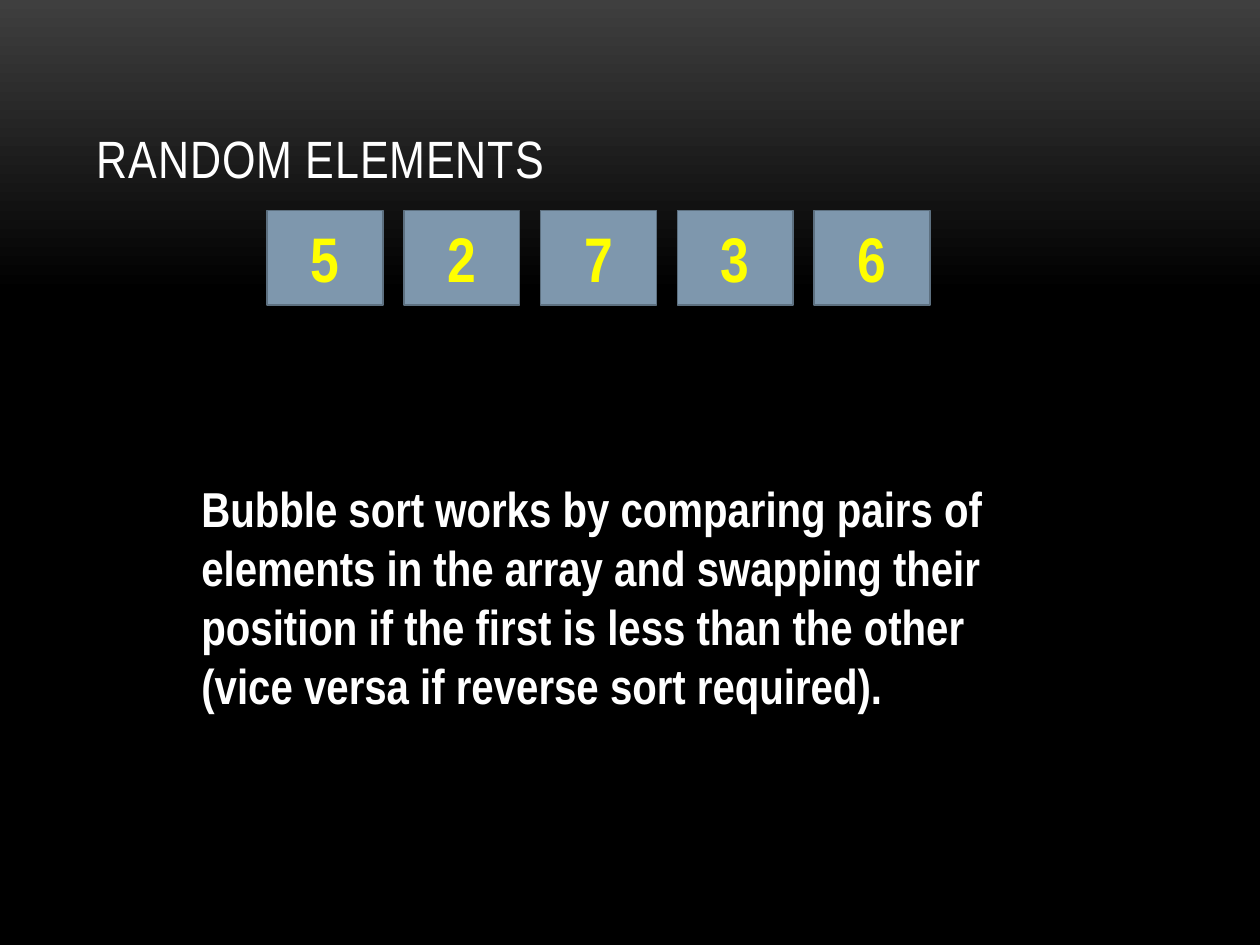
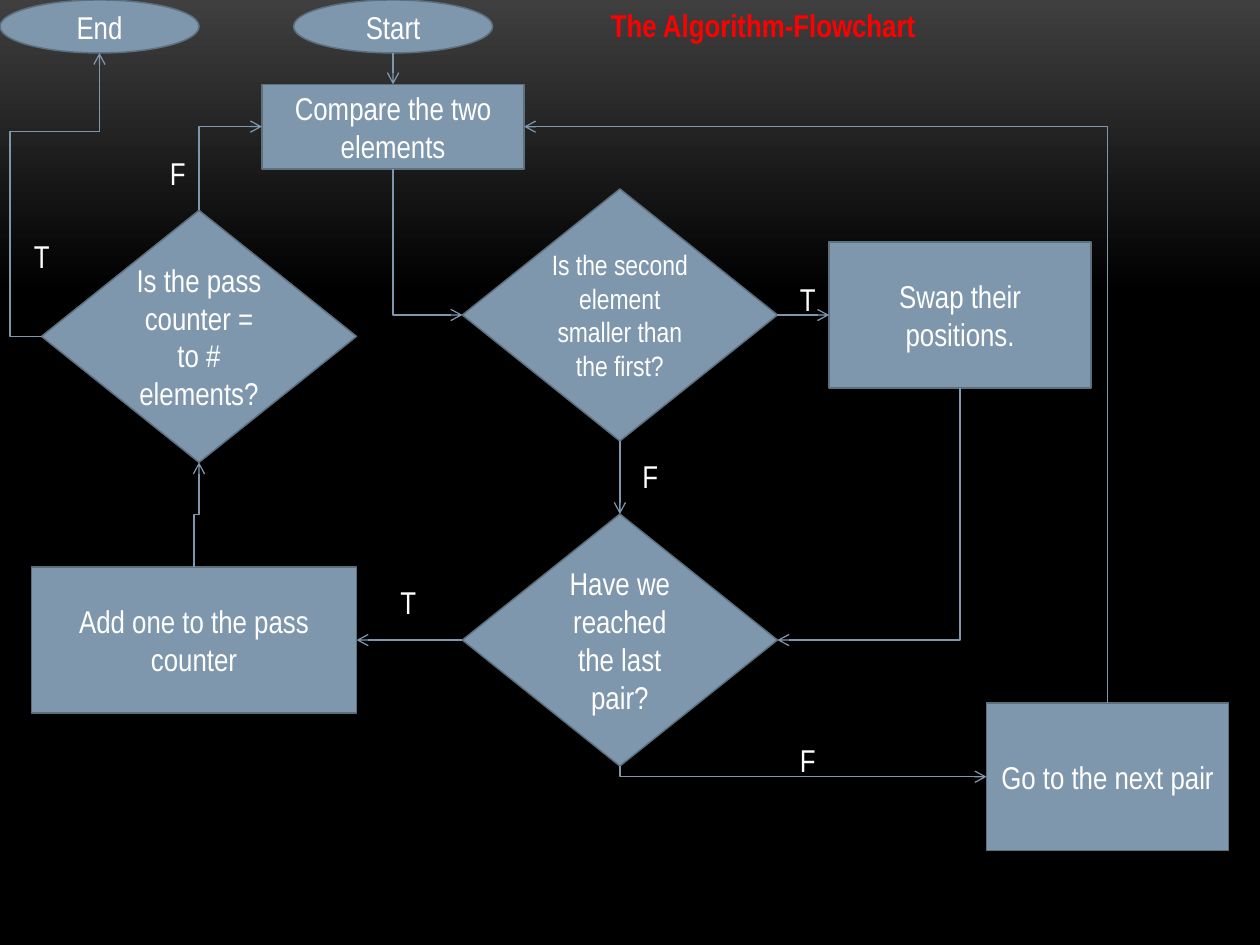
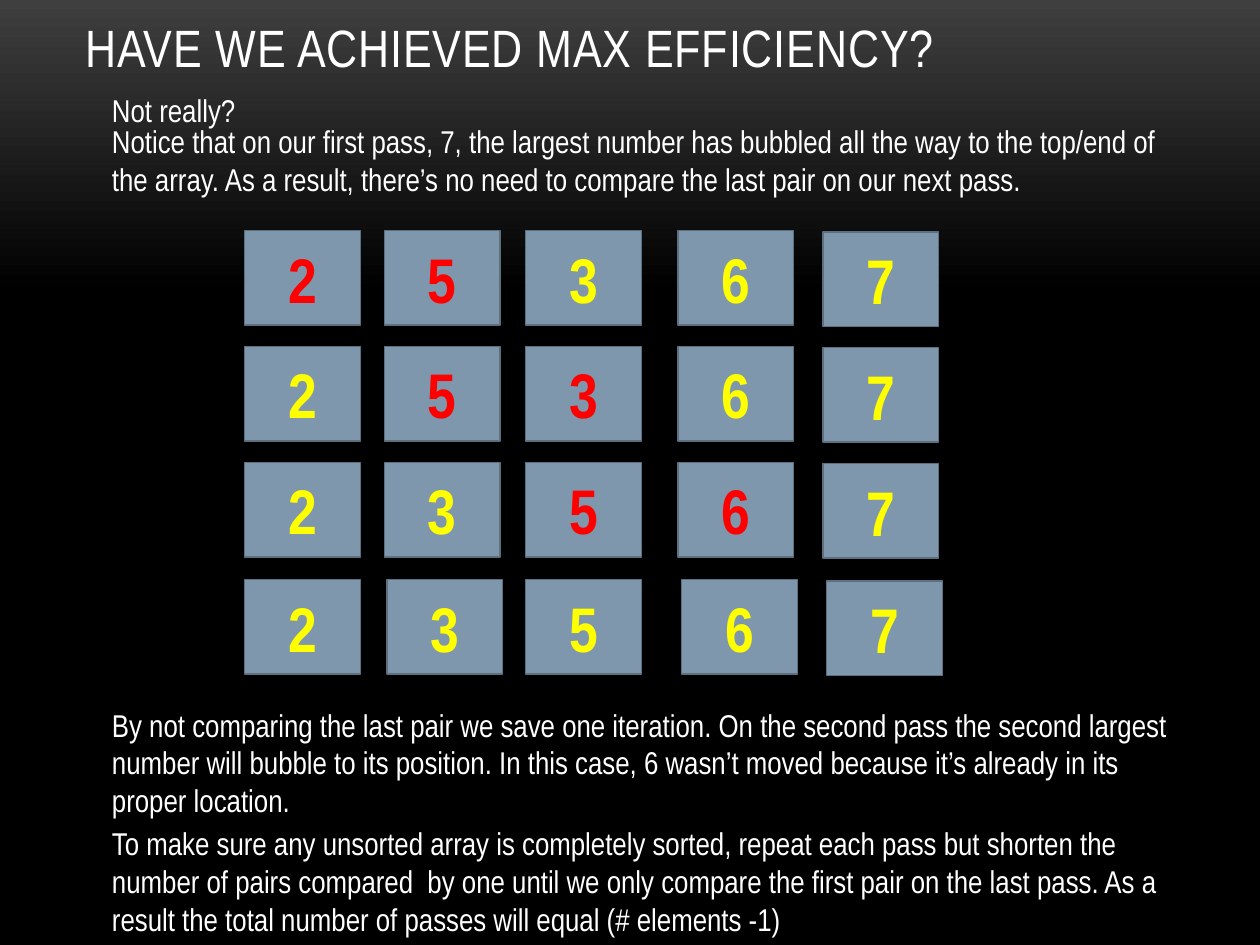
"""Build three slides on bubble sort: the idea, its flowchart and its efficiency."""
from copy import deepcopy

from lxml import etree
from pptx import Presentation
from pptx.dml.color import RGBColor
from pptx.enum import shapes, text
from pptx.oxml.ns import qn
from pptx.util import Inches, Pt

FONT = "Arial Narrow"
WHITE = RGBColor(0xFF, 0xFF, 0xFF)
BLACK = RGBColor(0, 0, 0)
CHARCOAL = RGBColor(0x3F, 0x3F, 0x3F)
STEEL = RGBColor(0x7E, 0x97, 0xAD)
EDGE = RGBColor(0x5D, 0x70, 0x80)
YELLOW = RGBColor(0xFF, 0xFF, 0)
RED = RGBColor(0xFF, 0, 0)

RECT = shapes.MSO_SHAPE.RECTANGLE
DIAMOND = shapes.MSO_SHAPE.DIAMOND
OVAL = shapes.MSO_SHAPE.OVAL
TOP, LEFT, BOTTOM, RIGHT = range(4)
TILE_W, TILE_H = 0.92, 0.75

INTRO = ("Bubble sort works by comparing pairs of elements in the array and swapping "
         "their position if the first is less than the other "
         "(vice versa if reverse sort required).")
ELEMENTS = "52736"

NODES = {
    "start": (OVAL, "Start", 2.33, 0, 1.58, 0.42),
    "compare": (RECT, "Compare the two elements", 2.08, 0.67, 2.08, 0.67),
    "smaller": (DIAMOND, "Is the second element smaller than the first?", 3.67, 1.5, 2.5, 2),
    "swap": (RECT, "Swap their positions.", 6.58, 1.92, 2.08, 1.16),
    "last": (DIAMOND, "Have we reached the last pair?", 3.67, 4.08, 2.5, 2),
    "count": (RECT, "Add one to the pass counter", 0.25, 4.5, 2.58, 1.16),
    "done": (DIAMOND, "Is the pass counter = to # elements?", 0.33, 1.67, 2.5, 2),
    "end": (OVAL, "End", 0, 0, 1.58, 0.42),
    "next": (RECT, "Go to the next pair", 7.83, 5.58, 1.92, 1.17),
}
TIGHT_FITS = {"smaller": {"size": 16, "inset": 0.02}}
STRAIGHT_FLOWS = [
    ("start", BOTTOM, "compare", TOP),
    ("smaller", RIGHT, "swap", LEFT),
    ("smaller", BOTTOM, "last", TOP),
    ("last", LEFT, "count", RIGHT),
]
BENT_FLOWS = [
    ("compare", BOTTOM, "smaller", LEFT, "bentConnector2", ()),
    ("swap", BOTTOM, "last", RIGHT, "bentConnector2", ()),
    ("last", BOTTOM, "next", LEFT, "bentConnector2", ()),
    ("next", TOP, "compare", RIGHT, "bentConnector2", ()),
    ("count", TOP, "done", BOTTOM, "bentConnector3", (50000,)),
    ("done", TOP, "compare", LEFT, "bentConnector2", ()),
    ("done", LEFT, "end", BOTTOM, "bentConnector4", (-54500, 72200)),
]
BRANCHES = [("T", 6.25, 2.17), ("F", 5, 3.58), ("F", 6.25, 5.83),
            ("T", 3.08, 4.58), ("F", 1.25, 1.17), ("T", 0.17, 1.83)]

NOTES = [
    ("Not really?", 0.67, 0.4),
    ("Notice that on our first pass, 7, the largest number has bubbled all the way to the "
     "top/end of the array. As a result, there’s no need to compare the last pair on our "
     "next pass.", 0.92, 1.01),
    ("By not comparing the last pair we save one iteration. On the second pass the second "
     "largest number will bubble to its position. In this case, 6 wasn’t moved because it’s "
     "already in its proper location.", 5.55, 1.01),
    ("To make sure any unsorted array is completely sorted, repeat each pass but shorten the "
     "number of pairs compared  by one until we only compare the first pair on the last pass. "
     "As a result the total number of passes will equal (# elements -1)", 6.49, 1.01),
]
COLUMNS = [1.94, 3.05, 4.17, 5.38, 6.53]
LAST_COLUMNS = [1.94, 3.07, 4.17, 5.41, 6.56]
PASSES = [
    ("25367", (0, 1), 1.83, COLUMNS),
    ("25367", (1, 2), 2.75, COLUMNS),
    ("23567", (2, 3), 3.67, COLUMNS),
    ("23567", (), 4.6, LAST_COLUMNS),
]


def write(tf, words, size=18, color=WHITE, bold=False, align=None, spacing=None):
    """Put one formatted paragraph into a text frame."""
    p = tf.paragraphs[0]
    p.alignment = align
    r = p.add_run()
    r.text = words
    r.font.name, r.font.size, r.font.bold = FONT, Pt(size), bold
    r.font.color.rgb = color
    if spacing:
        r.font._element.set("spc", str(spacing))


def add_text(s, words, box, wrap=True, **fmt):
    """Add a text box that grows with its text."""
    tf = s.shapes.add_textbox(*map(Inches, box)).text_frame
    tf.word_wrap = wrap
    tf.auto_size = text.MSO_AUTO_SIZE.SHAPE_TO_FIT_TEXT
    write(tf, words, **fmt)
    return tf


def add_title(s, words, box):
    """Add a slide title that sits on the bottom of its box."""
    tf = add_text(s, words, box, size=30, spacing=50)
    tf.auto_size = text.MSO_AUTO_SIZE.NONE
    tf.vertical_anchor = text.MSO_ANCHOR.BOTTOM


def add_box(s, kind, words, box, inset=0.1, **fmt):
    """Add a filled shape with centred text."""
    sp = s.shapes.add_shape(kind, *map(Inches, box))
    sp.shadow.inherit = False
    sp.fill.solid()
    sp.fill.fore_color.rgb = STEEL
    sp.line.color.rgb = EDGE
    sp.line.width = Pt(0.85)
    tf = sp.text_frame
    tf.word_wrap = True
    tf.margin_left = tf.margin_right = Inches(inset)
    tf.vertical_anchor = text.MSO_ANCHOR.MIDDLE
    write(tf, words, align=text.PP_ALIGN.CENTER, **fmt)
    return sp


def add_tile(s, digit, x, y, color=YELLOW):
    """Add one array element."""
    add_box(s, RECT, digit, (x, y, TILE_W, TILE_H), size=36, color=color, bold=True)


def side_point(name, side):
    """Return the middle of one side of a flowchart node."""
    x, y, w, h = NODES[name][2:]
    dx, dy = [(0.5, 0), (0, 0.5), (0.5, 1), (1, 0.5)][side]
    return x + w * dx, y + h * dy


def add_arrow(s, kind, start, end):
    """Add a connector with an open arrowhead at its end."""
    c = s.shapes.add_connector(kind, *map(Inches, start + end))
    c.line.color.rgb = STEEL
    c.line.width = Pt(0.75)
    etree.SubElement(c.line._get_or_add_ln(), qn("a:tailEnd"), type="arrow")
    etree.SubElement(c._element.spPr, qn("a:effectLst"))
    return c


def add_bent_arrow(s, start, end, preset, adjusts, vertical):
    """Add an elbow arrow, turned a quarter when it leaves vertically."""
    if vertical:
        cx, cy = (start[0] + end[0]) / 2, (start[1] + end[1]) / 2
        start, end = [(cx + y - cy, cy - x + cx) for x, y in (start, end)]
    c = add_arrow(s, shapes.MSO_CONNECTOR.ELBOW, start, end)
    if vertical:
        c._element.spPr.find(qn("a:xfrm")).set("rot", "5400000")
    geom = c._element.spPr.find(qn("a:prstGeom"))
    geom.set("prst", preset)
    for i, value in enumerate(adjusts, 1):
        etree.SubElement(geom.find(qn("a:avLst")), qn("a:gd"),
                         name=f"adj{i}", fmla=f"val {value}")


def set_background(master):
    """Give the master a gradient that fades from charcoal to black."""
    fill = master.background.fill
    fill.gradient()
    fill.gradient_angle = 270
    first, second = fill.gradient_stops
    first.color.rgb, second.color.rgb = CHARCOAL, BLACK
    first.position, second.position = 0, 1
    stops = next(master._element.iter(qn("a:gsLst")))
    stops.append(deepcopy(stops[-1]))
    second.position = 0.31


def build_elements(s):
    """Show the unsorted array and the idea."""
    add_title(s, "RANDOM ELEMENTS", (0.67, 0.3, 8.67, 1.25))
    add_text(s, INTRO, (1.5, 3.75, 6.42, 2.46), size=28, bold=True)
    first, last = 2.12, 6.46
    step = (last - first) / (len(ELEMENTS) - 1)
    for i, digit in enumerate(ELEMENTS):
        add_tile(s, digit, first + i * step, 1.67)


def build_flowchart(s):
    """Show the algorithm as a flowchart."""
    nodes = {name: add_box(s, kind, words, box, **TIGHT_FITS.get(name, {}))
             for name, (kind, words, *box) in NODES.items()}
    for a, a_side, b, b_side in STRAIGHT_FLOWS:
        c = add_arrow(s, shapes.MSO_CONNECTOR.STRAIGHT,
                      side_point(a, a_side), side_point(b, b_side))
        if NODES[a][0] != OVAL:
            c.begin_connect(nodes[a], a_side)
        c.end_connect(nodes[b], b_side)
    for a, a_side, b, b_side, preset, adjusts in BENT_FLOWS:
        add_bent_arrow(s, side_point(a, a_side), side_point(b, b_side),
                       preset, adjusts, a_side in (TOP, BOTTOM))
    for words, x, y in BRANCHES:
        add_text(s, words, (x, y, 0.32, 0.4), wrap=False)
    add_text(s, "The Algorithm-Flowchart", (4.75, 0, 3.92, 0.4), color=RED, bold=True)


def build_efficiency(s):
    """Show the second pass with each compared pair in red."""
    add_title(s, "HAVE WE ACHIEVED MAX EFFICIENCY?", (0.58, 0.04, 9, 0.63))
    for words, y, h in NOTES:
        add_text(s, words, (0.79, y, 8.58, h))
    for digits, compared, y, columns in PASSES:
        for i, (digit, x) in enumerate(zip(digits, columns)):
            drop = 0.01 if i == len(digits) - 1 else 0
            add_tile(s, digit, x, y + drop, RED if i in compared else YELLOW)


def main():
    """Build and save the deck."""
    prs = Presentation()
    prs.slide_width, prs.slide_height = Inches(10), Inches(7.5)
    set_background(prs.slide_master)
    for build in (build_elements, build_flowchart, build_efficiency):
        build(prs.slides.add_slide(prs.slide_layouts[6]))
    prs.save("out.pptx")


if __name__ == "__main__":
    main()
